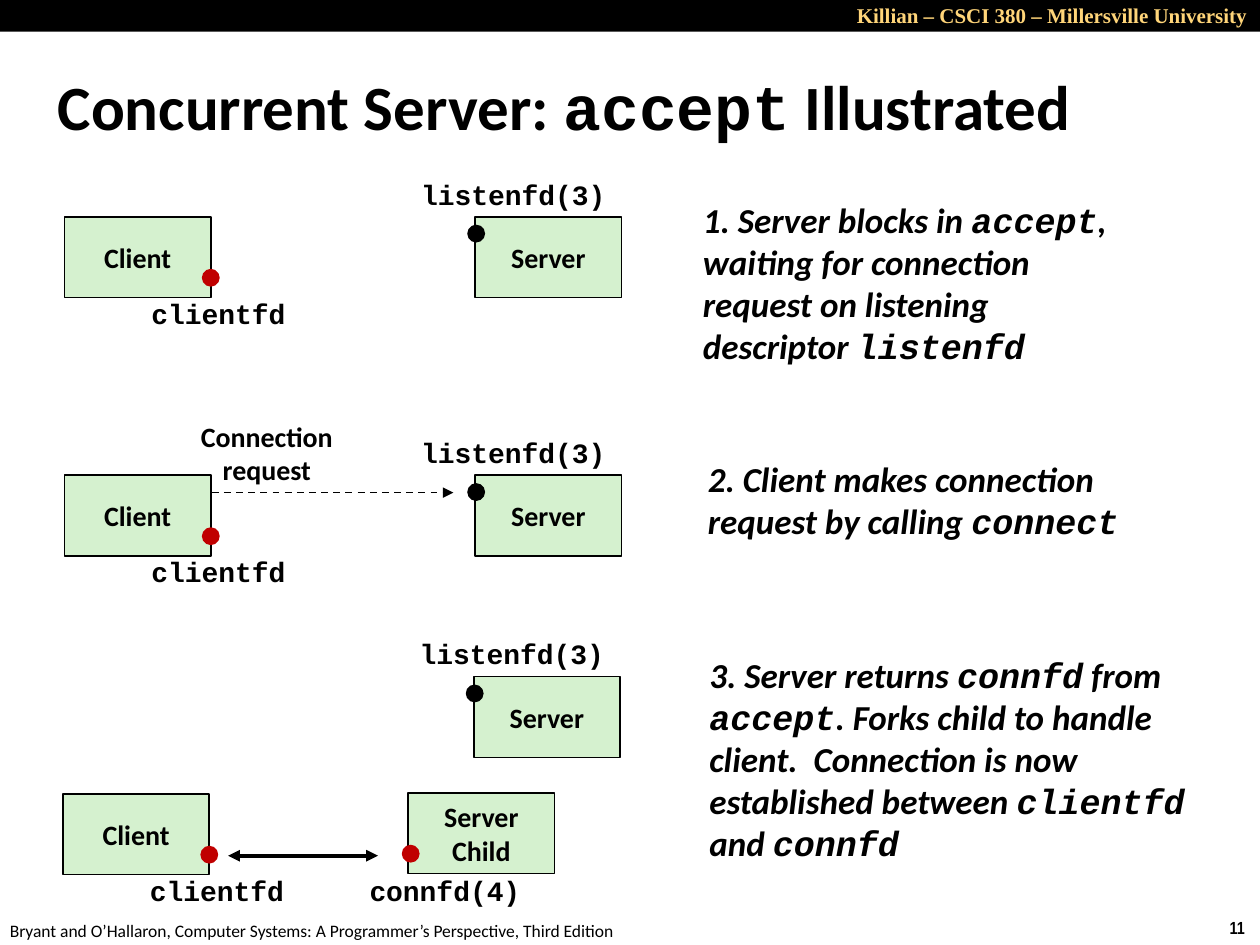
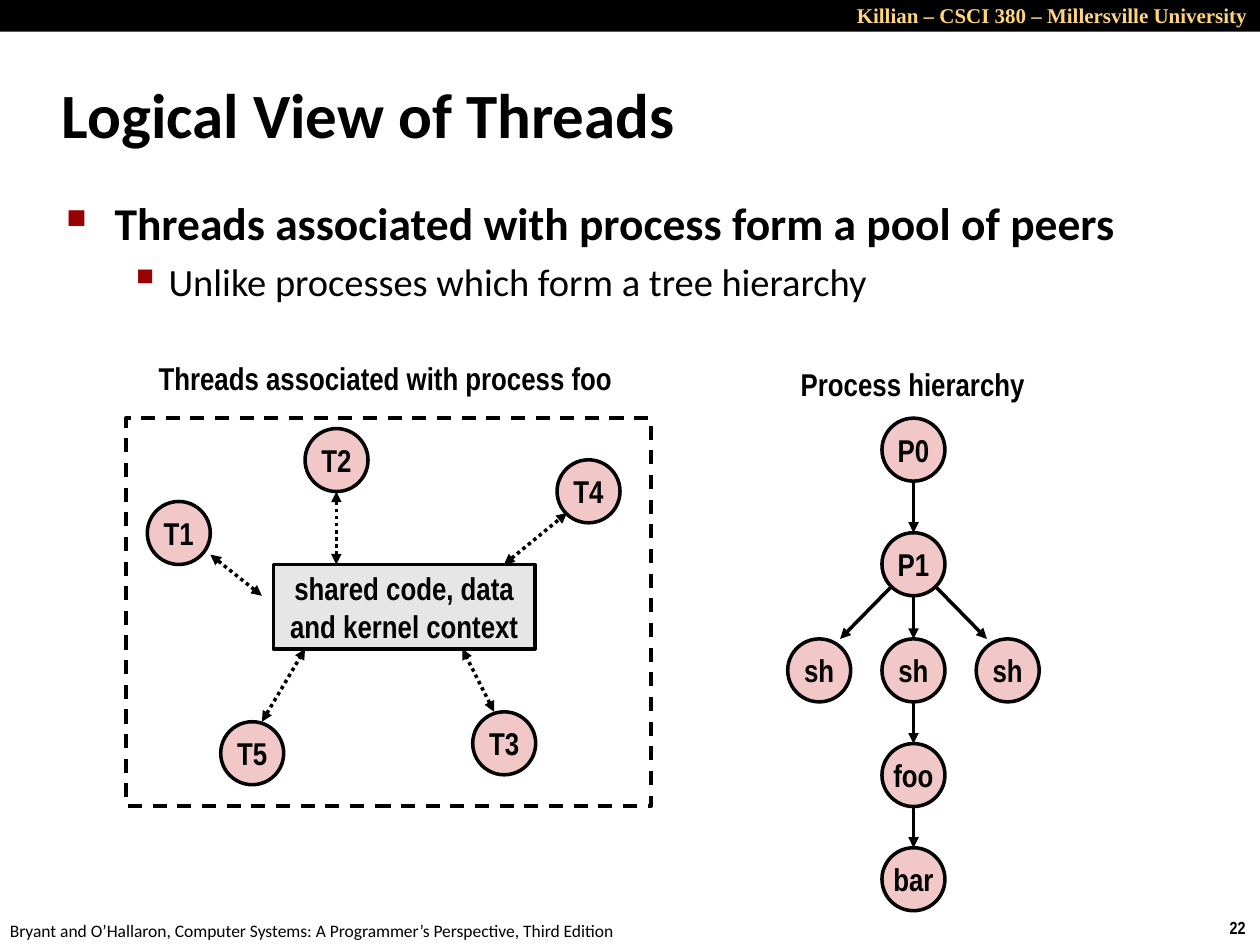
import dataclasses
import itertools

import lxml.etree
import pptx
import pptx.dml.color
import pptx.enum.dml
import pptx.enum.shapes
import pptx.enum.text
import pptx.oxml.ns
import pptx.util

ALIGN = pptx.enum.text.PP_ALIGN
ANCHOR = pptx.enum.text.MSO_ANCHOR
SHAPE = pptx.enum.shapes.MSO_SHAPE
DASH = pptx.enum.dml.MSO_LINE
qn = pptx.oxml.ns.qn


@dataclasses.dataclass(frozen=True)
class Theme:
    ink: str = "000000"
    gold: str = "FFD579"
    box: str = "D5F1CF"
    connected: str = "C00000"
    node: str = "F1C7C7"
    context: str = "E6E6E6"
    bullet: str = "990000"
    sans: str = "Calibri"
    narrow: str = "Arial Narrow"
    serif: str = "Times New Roman"
    code: str = "Courier New"
    title: int = 36
    body: int = 26
    sub: int = 22
    step: int = 20
    node_text: int = 18
    label: int = 16
    band: int = 12
    footer: int = 10


T = Theme()


def draw(s, at, text="", kind=None, fill=None, line=None, dash=None, size=T.label,
         font=T.sans, color=T.ink, bold=True, italic=False, align=ALIGN.CENTER,
         anchor=ANCHOR.MIDDLE):
    """Place a text box, the title, or a preset shape at (left, top, width, height) in cm.

    Text between backticks is set in the code font; each line is a paragraph.
    """
    box = [pptx.util.Cm(v) for v in at]
    if kind == "title":
        sp = s.shapes.title
        sp.left, sp.top, sp.width, sp.height = box
    elif kind is None:
        sp = s.shapes.add_textbox(*box)
    else:
        sp = s.shapes.add_shape(kind, *box)
        sp.shadow.inherit = False
    if fill:
        sp.fill.solid()
        sp.fill.fore_color.rgb = pptx.dml.color.RGBColor.from_string(fill)
    else:
        sp.fill.background()
    if line:
        sp.line.width = pptx.util.Pt(line)
        sp.line.color.rgb = pptx.dml.color.RGBColor.from_string(T.ink)
        sp.line.dash_style = dash
    else:
        sp.line.fill.background()
    if not text:
        return sp

    tf = sp.text_frame
    tf.auto_size = pptx.enum.text.MSO_AUTO_SIZE.NONE
    tf.word_wrap = align != ALIGN.CENTER
    tf.vertical_anchor = anchor
    for i, row in enumerate(text.split("\n")):
        p = tf.add_paragraph() if i else tf.paragraphs[0]
        p.alignment = align
        for j, part in enumerate(row.split("`")):
            if part:
                r = p.add_run()
                r.text = part
                r.font.name = T.code if j % 2 else font
                r.font.size = pptx.util.Pt(size)
                r.font.bold = bold
                r.font.italic = italic
                r.font.color.rgb = pptx.dml.color.RGBColor.from_string(color)
    return sp


def connect(s, x1, y1, x2, y2, width=2, dash=None, ends=("tailEnd",)):
    """Draw a straight line in cm with a triangle at each of the given ends."""
    cx = s.shapes.add_connector(pptx.enum.shapes.MSO_CONNECTOR.STRAIGHT,
                                *[pptx.util.Cm(v) for v in (x1, y1, x2, y2)])
    cx.line.width = pptx.util.Pt(width)
    cx.line.color.rgb = pptx.dml.color.RGBColor.from_string(T.ink)
    cx.line.dash_style = dash
    spPr = cx._element.spPr
    for end in ends:
        lxml.etree.SubElement(spPr.find(qn("a:ln")), qn("a:" + end), type="triangle")
    lxml.etree.SubElement(spPr, qn("a:effectLst"))


prs = pptx.Presentation()
prs.slide_width = pptx.util.Cm(25.4)
prs.slide_height = pptx.util.Cm(19.05)
BOTH = ("headEnd", "tailEnd")

# Shared band, footer, page number and title
slides = []
for number, title, title_at in [
    ("11", "Concurrent Server: `accept` Illustrated", (0.91, 1.32, 23.29, 1.6)),
    ("22", "Logical View of Threads", (0.99, 1.22, 21.08, 2.11)),
]:
    s = prs.slides.add_slide(prs.slide_layouts[5])
    draw(s, (24.54, 18.36, 0.86, 0.69), number, size=T.footer, font=T.narrow,
         align=ALIGN.LEFT)
    draw(s, (-0.05, 18.42, 14, 0.69),
         "Bryant and O’Hallaron, Computer Systems: A Programmer’s Perspective, Third Edition",
         size=T.footer, bold=False, align=ALIGN.LEFT)
    draw(s, (0, 0, 25.4, 0.64), kind=SHAPE.RECTANGLE, fill=T.ink)
    draw(s, (11.43, -0.08, 13.97, 0.76), "Killian – CSCI 380 – Millersville University",
         size=T.band, font=T.serif, color=T.gold, align=ALIGN.RIGHT)
    draw(s, title_at, title, kind="title", size=T.title, align=ALIGN.LEFT)
    slides.append(s)
accept_slide, threads_slide = slides

# Slide 1: the endpoints of each step, with descriptor label and dot
s = accept_slide
BOX_W, BOX_H, DOT = 2.95, 1.63, 0.36
# role: descriptor, label offset and width, dot offset, dot colour
roles = {
    "Client": ("`clientfd`", 1.49, 1.47, 3.23, 2.77, 1.05, T.connected),
    "Server": ("`listenfd(3)`", -1.35, -0.93, 4.24, -0.16, 0.16, T.ink),
    "Server\nChild": ("`connfd(4)`", -1.04, 1.49, 3.56, -0.13, 1.05, T.connected),
}
for role, x, y in [
    ("Client", 1.3, 4.37), ("Server", 9.58, 4.37),
    ("Client", 1.3, 9.58), ("Server", 9.58, 9.58),
    ("Server", 9.55, 13.64), ("Client", 1.27, 16), ("Server\nChild", 8.23, 15.98),
]:
    descriptor, label_dx, label_dy, label_w, dot_dx, dot_dy, dot_color = roles[role]
    draw(s, (x, y, BOX_W, BOX_H), role, kind=SHAPE.RECTANGLE, fill=T.box, line=1)
    draw(s, (x + label_dx, y + label_dy, label_w, 0.94), descriptor)
    draw(s, (x + dot_dx, y + dot_dy, DOT, DOT), kind=SHAPE.OVAL, fill=dot_color)

connect(s, 4.27, 9.93, 9.14, 9.93, width=1, dash=DASH.DASH)
draw(s, (3.78, 8.31, 3.2, 1.63), "Connection\nrequest")
connect(s, 4.6, 17.25, 7.62, 17.25, width=2.25, ends=BOTH)

for at, step in [
    ((13.92, 3.86, 9.14, 3.68),
     "1. Server blocks in `accept`, waiting for connection request on listening "
     "descriptor `listenfd`"),
    ((14.02, 9.09, 10.19, 1.96),
     "2. Client makes connection request by calling `connect`"),
    ((14.05, 13.03, 11.15, 4.52),
     "3. Server returns `connfd` from `accept`. Forks child to handle client.  "
     "Connection is now established between `clientfd` and `connfd`"),
]:
    draw(s, at, step, size=T.step, italic=True, align=ALIGN.LEFT)

# Slide 2: bullets
s = threads_slide
sp = draw(s, (1.09, 3.8, 23, 2.6),
          "Threads associated with process form a pool of peers\n"
          "Unlike processes which form a tree hierarchy",
          size=T.body, align=ALIGN.LEFT, anchor=ANCHOR.TOP)
bullets = [("■", 60, 0.97, 0.97), ("▪", 110, 2.06, 0.79)]
for level, (p, (char, percent, margin, hang)) in enumerate(
        zip(sp.text_frame.paragraphs, bullets)):
    p.level = level
    pPr = p._p.get_or_add_pPr()
    pPr.set("marL", str(pptx.util.Cm(margin)))
    pPr.set("indent", str(-pptx.util.Cm(hang)))
    clr = lxml.etree.SubElement(pPr, qn("a:buClr"))
    lxml.etree.SubElement(clr, qn("a:srgbClr"), val=T.bullet)
    lxml.etree.SubElement(pPr, qn("a:buSzPct"), val=str(percent * 1000))
    lxml.etree.SubElement(pPr, qn("a:buChar"), char=char)
p.space_before = pptx.util.Pt(5)
p.runs[0].font.size = pptx.util.Pt(T.sub)
p.runs[0].font.bold = False

# Slide 2: captions, frame, shared context and nodes
node_style = dict(size=T.node_text, font=T.narrow)
NODE = 1.27
draw(s, (1.93, 7.11, 11.68, 1.02), "Threads associated with process foo", **node_style)
draw(s, (15.39, 7.24, 6.02, 1.02), "Process hierarchy", **node_style)
draw(s, (2.54, 8.43, 10.59, 7.82), kind=SHAPE.RECTANGLE, line=2, dash=DASH.DASH)
draw(s, (5.51, 11.38, 5.28, 1.7), "shared code, data\nand kernel context",
     kind=SHAPE.RECTANGLE, fill=T.context, line=2, **node_style)

TRUNK, SPREAD = 17.78, 1.9
trunk = [("P0", 8.43), ("P1", 10.74), ("sh", 12.88), ("foo", 14.99), ("bar", 17.09)]
sh_y = dict(trunk)["sh"]
threads = [("T1", 2.97, 10.11), ("T2", 6.15, 8.64), ("T3", 9.53, 14.35),
           ("T4", 11.23, 9.27), ("T5", 4.45, 14.55)]
processes = [(name, TRUNK, y) for name, y in trunk]
siblings = [("sh", TRUNK + side * SPREAD, sh_y) for side in (-1, 1)]
for name, x, y in threads + processes + siblings:
    draw(s, (x, y, NODE, NODE), name, kind=SHAPE.OVAL, fill=T.node, line=2, **node_style)

# Slide 2: tree arrows, then the links between threads and context
mid = TRUNK + NODE / 2
for (_, upper), (_, lower) in itertools.pairwise(trunk):
    connect(s, mid, upper + NODE, mid, lower)
for side in (-1, 1):
    connect(s, mid + side * 0.43, 11.81, mid + side * 1.48, sh_y)
for ends_at in [
    (5.28, 12.01, 4.24, 11.18),
    (6.78, 11.38, 6.78, 9.91),
    (9.96, 14.35, 9.32, 13.08),
    (10.16, 11.38, 11.43, 10.34),
    (5.28, 14.55, 6.15, 13.08),
]:
    connect(s, *ends_at, dash=DASH.ROUND_DOT, ends=BOTH)

prs.save("out.pptx")
